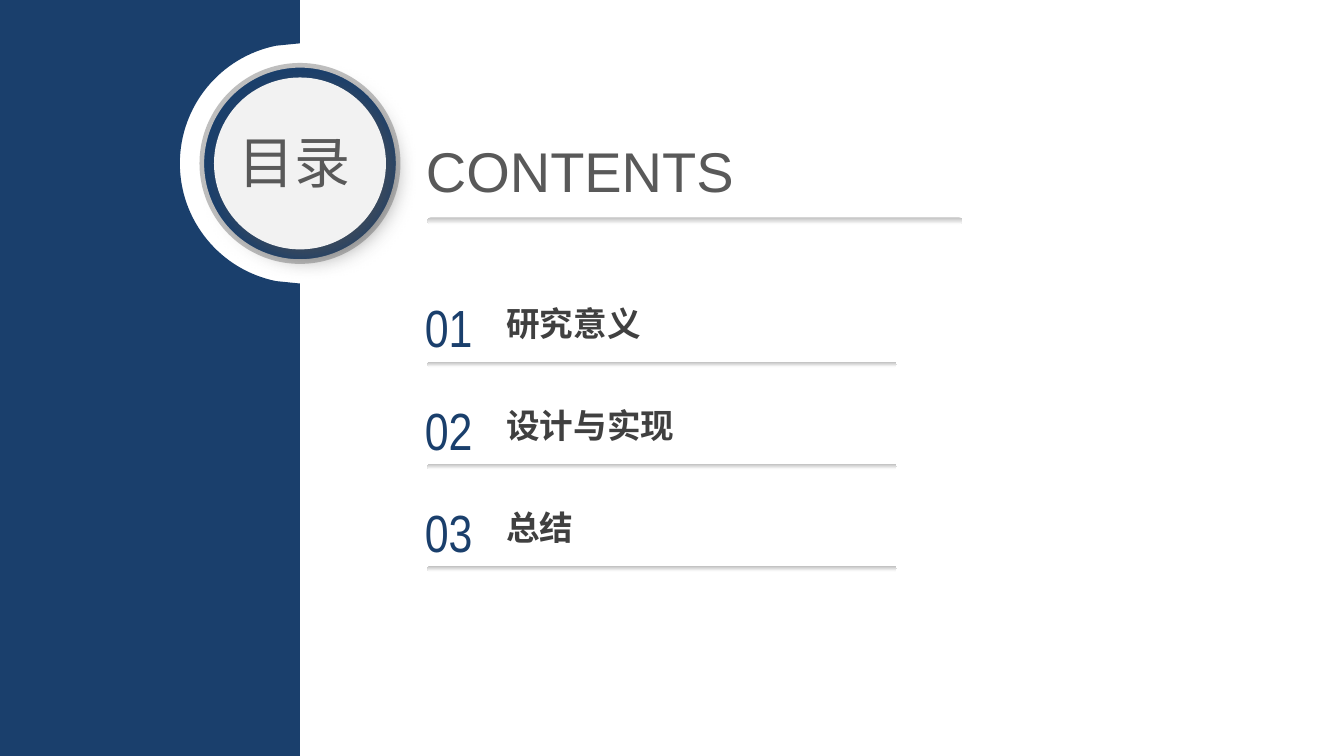
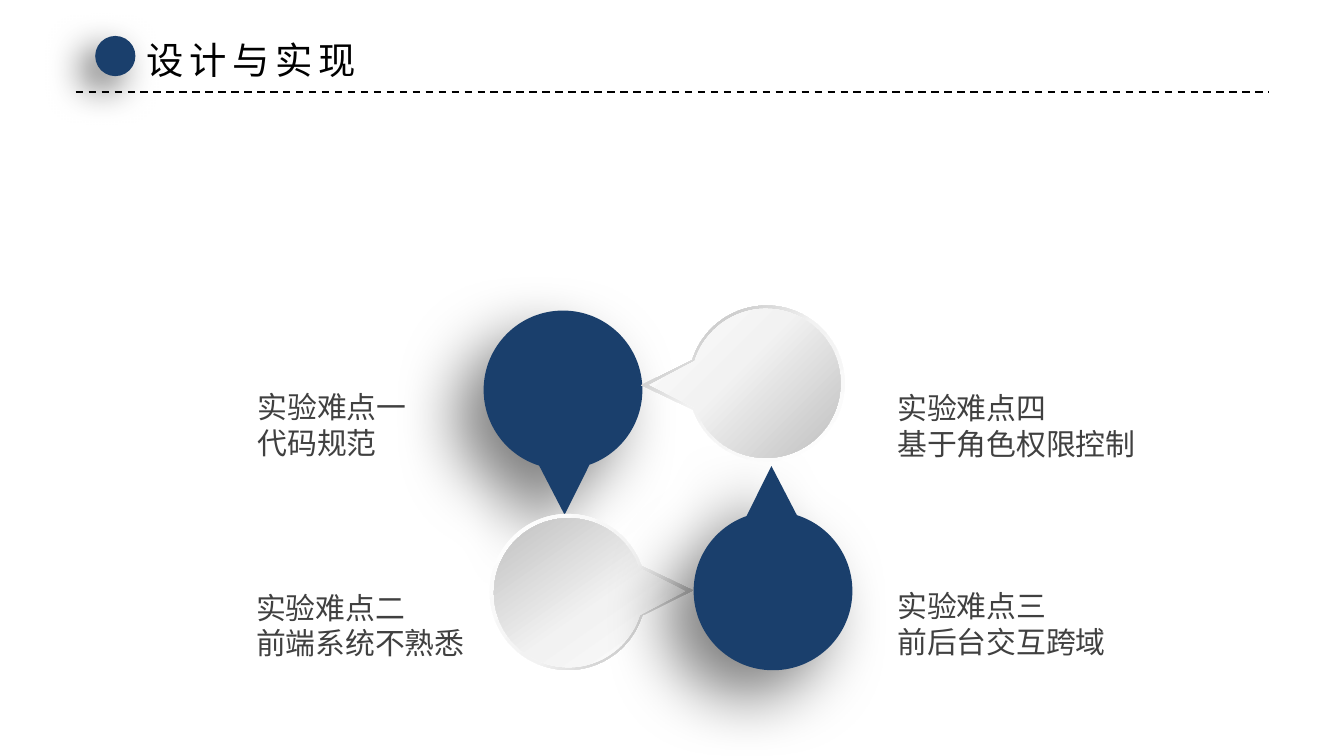
import itertools
import math

import pptx
import pptx.dml.color
import pptx.enum.dml
import pptx.enum.shapes
import pptx.enum.text
import pptx.oxml
import pptx.oxml.ns
import pptx.util
from lxml import etree

Cm, Pt = pptx.util.Cm, pptx.util.Pt
RGB = pptx.dml.color.RGBColor.from_string
SHAPE = pptx.enum.shapes.MSO_SHAPE
ALIGN = pptx.enum.text.PP_ALIGN
qn = pptx.oxml.ns.qn

COLORS = {
    "navy": "1A3F6C", "white": "FFFFFF", "pale": "F2F2F2", "silver": "BFBFBF",
    "steel": "A6A6A6", "heading": "595959", "body": "404040",
    "shade": "525252", "black": "000000",
}
SANS = "Noto Sans CJK SC"
TIGHT = (0.18, 0.1)
ROOMY = (0.25, 0.13)


def write(sp, box, text, size, font, color, margins=TIGHT, align=ALIGN.LEFT,
          bold=False, wrap=True, spacing=None):
    """Place a text shape and format every run in it; lengths are in cm."""
    sp.left, sp.top, sp.width, sp.height = [Cm(v) for v in box]
    tf = sp.text_frame
    tf.text = text
    tf.word_wrap = wrap
    tf.auto_size = pptx.enum.text.MSO_AUTO_SIZE.SHAPE_TO_FIT_TEXT
    tf.vertical_anchor = pptx.enum.text.MSO_ANCHOR.TOP
    tf.margin_left = tf.margin_right = Cm(margins[0])
    tf.margin_top = tf.margin_bottom = Cm(margins[1])
    for p in tf.paragraphs:
        p.alignment = align
        for r in p.runs:
            r.font.size, r.font.bold, r.font.name = Pt(size), bold, font
            r.font.color.rgb = RGB(COLORS[color])
            rPr = r.font._element
            etree.SubElement(rPr, qn("a:ea")).set("typeface", font)
            if spacing:
                rPr.set("spc", str(spacing * 100))


def style(sp, fill, angle=90, shadow=None, arc=None):
    """Fill with a colour or (percent, colour) stops, add a shadow, round sides.

    An arc is (first side, centre x, centre y, radius, angles), clockwise from east.
    """
    sp.line.fill.background()
    spPr = sp._element.spPr
    if isinstance(fill, str):
        sp.fill.solid()
        sp.fill.fore_color.rgb = RGB(COLORS[fill])
    else:
        stops = "".join(
            f'<a:gs pos="{pos * 1000}"><a:srgbClr val="{COLORS[name]}"/></a:gs>'
            for pos, name in fill)
        sp.fill.background()
        spPr.replace(spPr.find(qn("a:noFill")), pptx.oxml.parse_xml(
            f'<a:gradFill {pptx.oxml.ns.nsdecls("a")} rotWithShape="0">'
            f'<a:gsLst>{stops}</a:gsLst>'
            f'<a:lin ang="{angle * 60000}" scaled="0"/></a:gradFill>'))
    sp.shadow.inherit = False
    if shadow:
        name, alpha, blur, dist, direction = shadow
        outer = etree.SubElement(spPr.find(qn("a:effectLst")), qn("a:outerShdw"), {
            "blurRad": str(Pt(blur)), "dist": str(Pt(dist)),
            "dir": str(direction * 60000), "algn": "ctr", "rotWithShape": "0"})
        clr = etree.SubElement(outer, qn("a:srgbClr"), val=COLORS[name])
        etree.SubElement(clr, qn("a:alpha"), val=str(alpha * 1000))
    if arc:
        first, x0, y0, radius, angles = arc
        sides = list(spPr.iter(qn("a:lnTo")))[first:]
        for side, ends in zip(sides, itertools.pairwise(angles)):
            a, b = [math.radians(v) for v in ends]
            k = 4 / 3 * math.tan((b - a) / 4)
            side.tag = qn("a:cubicBezTo")
            for i, (t, turn) in enumerate([(a, k), (b, -k)]):
                x = x0 + radius * (math.cos(t) - turn * math.sin(t))
                y = y0 + radius * (math.sin(t) + turn * math.cos(t))
                side.insert(i, side.makeelement(qn("a:pt"), {
                    "x": str(Cm(x) - sp.left), "y": str(Cm(y) - sp.top)}))


prs = pptx.Presentation()
prs.slide_width, prs.slide_height = Cm(25.4), Cm(14.29)
title_only = prs.slide_layouts[5]

# Slide 1: contents
s = prs.slides.add_slide(title_only)
write(s.shapes.title, (7.87, 2.49, 8.84, 1.47), "CONTENTS ", 30, "Arial", "heading")

# Side band with a round bite around the badge
cx, cy, bite = 5.67, 3.09, 2.27
angles = [258.5, 180, 101.5]
points = [(-0.25, 0), (cx, 0), (cx, 0.82)]
for deg in angles:
    a = math.radians(deg)
    points.append((cx + bite * math.cos(a), cy + bite * math.sin(a)))
points += [(cx, 5.36), (cx, 14.29), (-0.25, 14.29)]
points = [(Cm(x), Cm(y)) for x, y in points]
fb = s.shapes.build_freeform(*points[0])
fb.add_line_segments(points[1:])
style(fb.convert_to_shape(), "navy", arc=(3, cx, cy, bite, angles))

for size, fill, shadow in [(3.71, "navy", None),
                           (3.25, "pale", ("shade", 64, 12, 6, 45))]:
    sp = s.shapes.add_shape(SHAPE.OVAL, Cm(cx - size / 2), Cm(cy - size / 2),
                            Cm(size), Cm(size))
    style(sp, fill, shadow=shadow)
    if fill == "navy":
        sp.line.color.rgb = RGB(COLORS["silver"])
        sp.line.width = Pt(2.5)
write(s.shapes.add_textbox(0, 0, 0, 0), (3.81, 2.31, 3.53, 1.47), "目录", 30,
      "Quicksand", "heading", align=ALIGN.CENTER)

rules = [(4.11, 10.11, 0.13)]
for i, item in enumerate(["研究意义", "设计与实现", "总结"]):
    dy = 1.93 * i
    write(s.shapes.add_textbox(0, 0, 0, 0), (7.73, 5.49 + dy, 1.5, 1.4),
          f"{i + 1:02}", 28, "Arial Narrow", "navy", align=ALIGN.CENTER)
    write(s.shapes.add_textbox(0, 0, 0, 0), (9.39, 5.62 + dy, 5.79, 0.97),
          item, 18, "TeX Gyre Adventor", "body", bold=True)
    rules.append((6.84 + dy, 8.87, 0.1))
for top, width, height in rules:
    sp = s.shapes.add_shape(SHAPE.ROUNDED_RECTANGLE, Cm(8.08), Cm(top),
                            Cm(width), Cm(height))
    sp.adjustments[0] = 0.5
    style(sp, [(0, "silver"), (100, "white")])

# Slide 2: difficulties
s = prs.slides.add_slide(title_only)
write(s.shapes.title, (2.52, 0.58, 4.6, 1.12), "设计与实现", 20, SANS, "black",
      margins=ROOMY, wrap=False, spacing=3)
line = s.shapes.add_connector(pptx.enum.shapes.MSO_CONNECTOR.STRAIGHT,
                              Cm(1.43), Cm(1.74), Cm(23.98), Cm(1.74))
line.line.color.rgb = RGB(COLORS["black"])
line.line.width = Pt(1)
line.line.dash_style = pptx.enum.dml.MSO_LINE.DASH
etree.SubElement(line._element.spPr, qn("a:effectLst"))
sp = s.shapes.add_shape(SHAPE.OVAL, Cm(1.8), Cm(0.68), Cm(0.76), Cm(0.76))
style(sp, "navy", shadow=("black", 60, 20, 10, 135))

for left, top, width, text in [
        (4.59, 11.01, 4.5, "实验难点二\n前端系统不熟悉"),
        (16.71, 10.98, 4.5, "实验难点三\n前后台交互跨域"),
        (16.71, 7.24, 5.08, "实验难点四\n基于角色权限控制"),
        (4.62, 7.22, 3.35, "实验难点一\n代码规范")]:
    write(s.shapes.add_textbox(0, 0, 0, 0), (left, top, width, 1.63), text, 16,
          SANS, "body", margins=ROOMY, wrap=False)

# Pins: a round head with its tip up, leaning a little left, then turned
rim = [(0, "white"), (55, "pale"), (100, "steel")]
face = [(0, "white"), (43, "pale"), (100, "silver")]
cast = ("black", 50, 35, 20, 135)
angles = [-72.5, 0, 90, 180, 250.5]
for left, top, width, height, turn, fill, angle, shadow in [
        (9.14, 5.87, 3.0, 3.86, 180, "navy", 0, cast),
        (9.7, 9.27, 2.95, 3.84, 90, rim, 45, None),
        (9.73, 9.4, 2.82, 3.61, 90, face, 235, None),
        (13.11, 8.81, 3.0, 3.86, 0, "navy", 0, cast),
        (12.57, 5.33, 2.95, 3.84, 270, rim, 235, None),
        (12.67, 5.44, 2.82, 3.61, 270, face, 45, None)]:
    radius = width / 2
    x0, y0 = left + radius, top + height - radius
    points = [(x0 - 0.03, top)]
    for deg in angles:
        a = math.radians(deg)
        points.append((x0 + radius * math.cos(a), y0 + radius * math.sin(a)))
    points = [(Cm(x), Cm(y)) for x, y in points]
    fb = s.shapes.build_freeform(*points[0])
    fb.add_line_segments(points[1:])
    sp = fb.convert_to_shape()
    style(sp, fill, angle, shadow, (1, x0, y0, radius, angles))
    sp.rotation = turn

prs.save("out.pptx")
